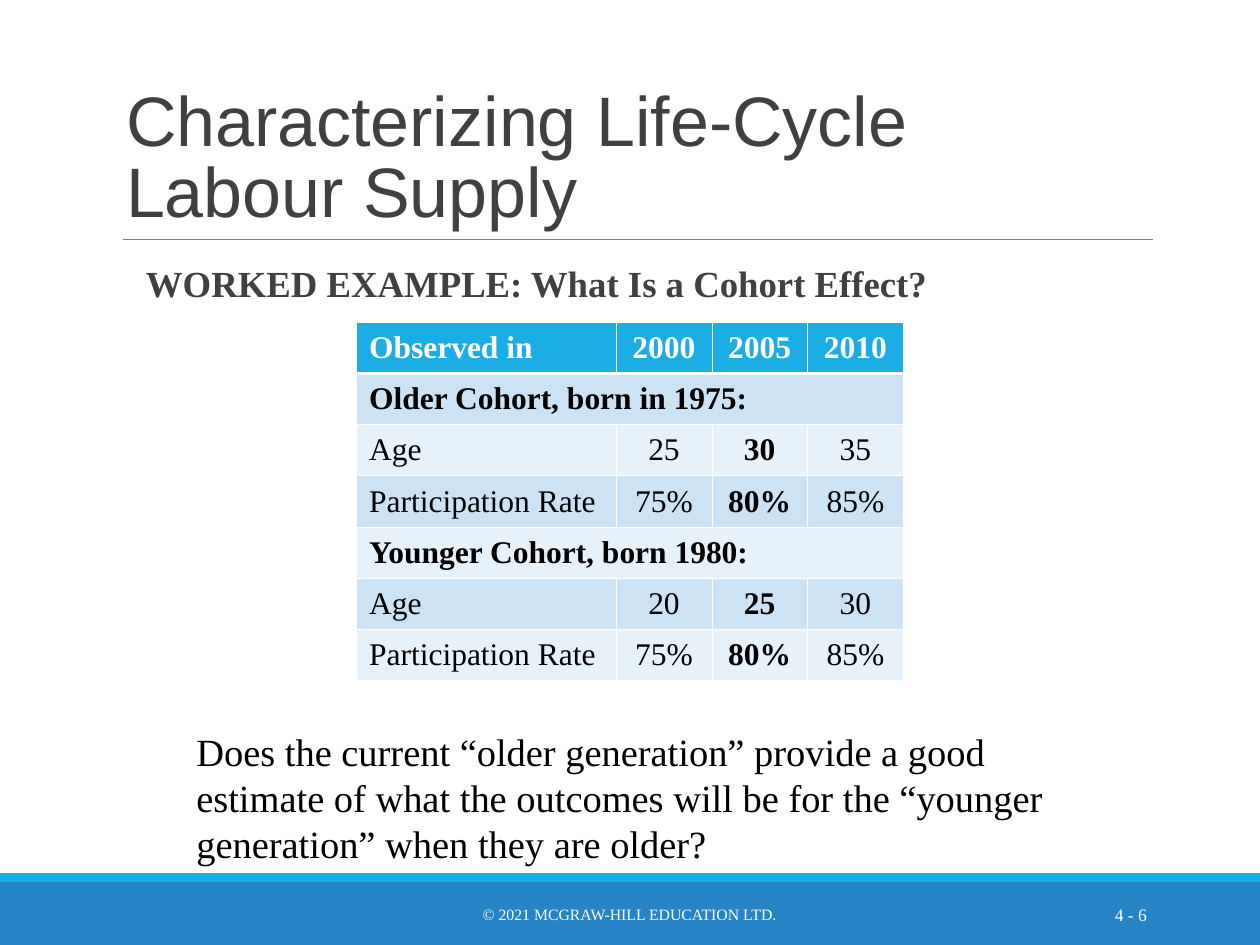
from lxml.etree import SubElement
from pptx import Presentation
from pptx.dml.color import RGBColor
from pptx.enum.shapes import MSO_CONNECTOR, MSO_SHAPE
from pptx.enum.text import MSO_ANCHOR as Anchor, PP_ALIGN as Align
from pptx.oxml.ns import qn
from pptx.util import Inches, Pt

SERIF = "Times New Roman"
ACCENT, FOOTER_BLUE, GREY = "1CADE4", "2683C6", "404040"
BANDS = ("E7F1FA", "CCE3F5")
COLUMN_WIDTHS = (2.06, 0.76, 0.76, 0.76)
ROW_HEIGHT = 2.84 / 7
COHORT_ROWS = (
    ("Observed in", "2000", "2005", "2010"),
    ("Older Cohort, born in 1975:",),
    ("Age", "25", "30", "35"),
    ("Participation Rate", "75%", "80%", "85%"),
    ("Younger Cohort, born 1980:",),
    ("Age", "20", "25", "30"),
    ("Participation Rate", "75%", "80%", "85%"),
)
HIGHLIGHT_COLUMN = 2


def color(hex_code):
    """Turn a hex string into a colour."""
    return RGBColor.from_string(hex_code)


def write(frame, text, size, hex_code, font=SERIF, bold=False, align=Align.LEFT):
    """Put one formatted paragraph into a text frame."""
    paragraph = frame.paragraphs[0]
    paragraph.text = text
    paragraph.alignment = align
    for run in paragraph.runs:
        run.font.name, run.font.size, run.font.bold = font, Pt(size), bold
        run.font.color.rgb = color(hex_code)


def add_band(slide, top, height, fill):
    """Draw a full-width band."""
    band = slide.shapes.add_shape(
        MSO_SHAPE.RECTANGLE, 0, Inches(top), Inches(10), Inches(height))
    band.shadow.inherit = False
    band.fill.solid()
    band.fill.fore_color.rgb = color(fill)
    band.line.fill.background()


def add_rule(slide, left, right, top):
    """Draw the thin rule below the title."""
    rule = slide.shapes.add_connector(
        MSO_CONNECTOR.STRAIGHT, Inches(left), Inches(top), Inches(right), Inches(top))
    rule.line.color.rgb = color("7F7F7F")
    rule.line.width = Pt(0.5)
    SubElement(rule._element.spPr, qn("a:effectLst"))


def set_title(slide, text):
    """Place and format the title placeholder."""
    title = slide.shapes.title
    title.left, title.top, title.width, title.height = map(Inches, (0.9, 0.3, 8.25, 1.59))
    title.text_frame.word_wrap = True
    title.text_frame.vertical_anchor = Anchor.BOTTOM
    write(title.text_frame, text, 40, GREY, font="Arial")
    title.text_frame.paragraphs[0].line_spacing = 0.85


def add_text(slide, box, text, size, hex_code, anchor=Anchor.TOP, **style):
    """Add a wrapping text box."""
    frame = slide.shapes.add_textbox(*map(Inches, box)).text_frame
    frame.word_wrap = True
    frame.vertical_anchor = anchor
    write(frame, text, size, hex_code, **style)


def set_borders(cell, top, bottom):
    """Give a cell white borders, with top and bottom widths in points."""
    properties = cell._tc.get_or_add_tcPr()
    for side, width in (("L", 0.45), ("R", 0.45), ("T", top), ("B", bottom)):
        border = SubElement(properties, qn(f"a:ln{side}"), w=str(Pt(width)))
        SubElement(SubElement(border, qn("a:solidFill")), qn("a:srgbClr"), val="FFFFFF")


def add_cohort_table(slide, left, top):
    """Build the banded table of both cohorts."""
    table = slide.shapes.add_table(
        len(COHORT_ROWS), len(COLUMN_WIDTHS), Inches(left), Inches(top),
        Inches(sum(COLUMN_WIDTHS)), Inches(ROW_HEIGHT * len(COHORT_ROWS))).table
    for column, width in zip(table.columns, COLUMN_WIDTHS):
        column.width = Inches(width)
    for r, values in enumerate(COHORT_ROWS):
        header, section = r == 0, len(values) == 1
        for c in range(len(COLUMN_WIDTHS)):
            cell = table.cell(r, c)
            set_borders(cell, 1.47 if r == 1 else 0.45, 1.47 if header else 0.45)
            cell.fill.solid()
            cell.fill.fore_color.rgb = color(ACCENT if header else BANDS[r % 2])
            cell.vertical_anchor = Anchor.MIDDLE
            if c < len(values):
                write(cell.text_frame, values[c], 18, "FFFFFF" if header else "000000",
                      bold=header or section or c == HIGHLIGHT_COLUMN,
                      align=Align.CENTER if c else Align.LEFT)
        if section:
            table.cell(r, 0).merge(table.cell(r, len(COLUMN_WIDTHS) - 1))


def main():
    """Build and save the slide."""
    deck = Presentation()
    deck.slide_width, deck.slide_height = Inches(10), Inches(7.5)
    slide = deck.slides.add_slide(deck.slide_layouts[5])
    add_band(slide, 7, 0.5, FOOTER_BLUE)
    add_band(slide, 6.93, 0.07, ACCENT)
    add_rule(slide, 0.98, 9.15, 1.9)
    add_cohort_table(slide, 2.83, 2.56)
    set_title(slide, "Characterizing Life-Cycle Labour Supply")
    add_text(slide, (1.06, 2.02, 8.09, 0.45),
             "WORKED EXAMPLE: What Is a Cohort Effect?", 21, GREY, bold=True)
    add_text(slide, (1.46, 5.73, 7.01, 1.2),
             "Does the current “older generation” provide a good estimate of what the "
             "outcomes will be for the “younger generation” when they are older?",
             22, "000000")
    add_text(slide, (3.02, 7.06, 3.95, 0.4), "© 2021 MCGRAW-HILL EDUCATION LTD.",
             9, "FFFFFF", anchor=Anchor.MIDDLE, align=Align.CENTER)
    add_text(slide, (8.12, 7.06, 1.08, 0.4), "4 - 6",
             10, "FFFFFF", anchor=Anchor.MIDDLE, align=Align.RIGHT)
    deck.save("out.pptx")


if __name__ == "__main__":
    main()
